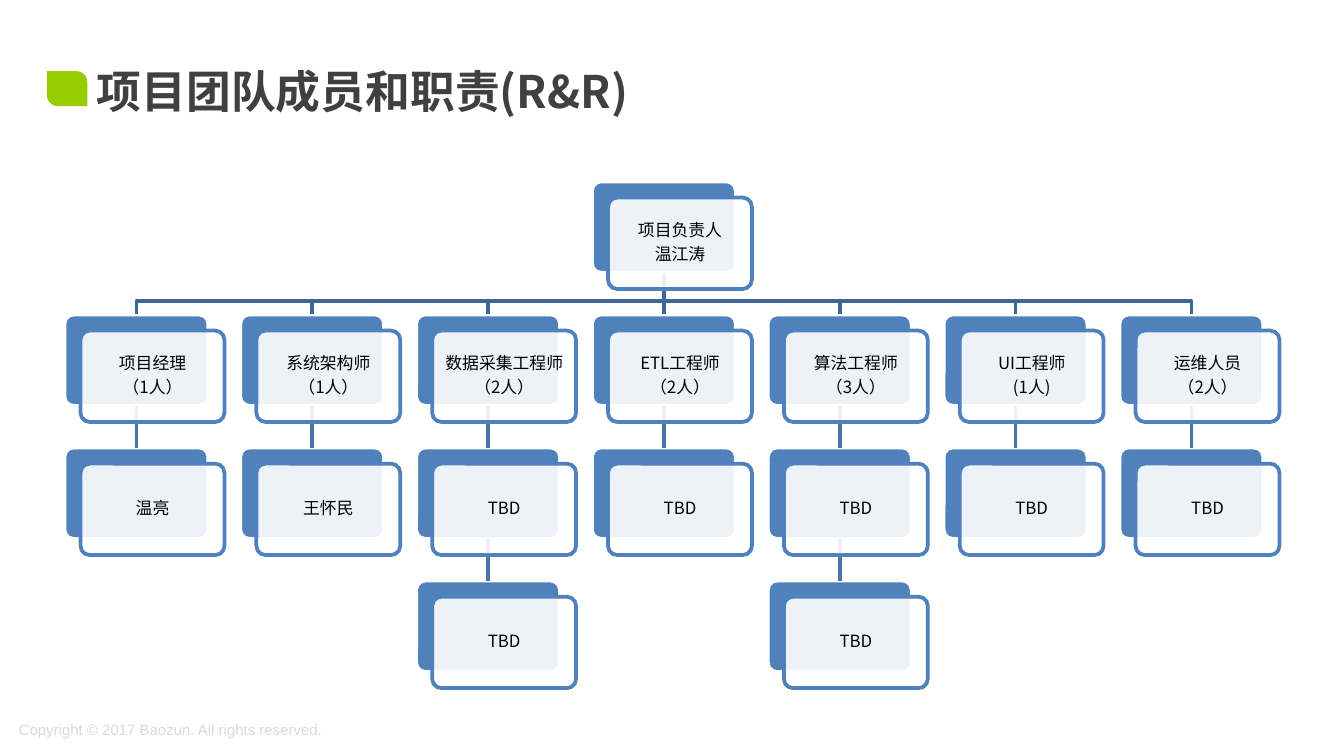
"""Build the project team and responsibilities organisation chart."""
from dataclasses import dataclass

from lxml import etree
from pptx import Presentation
from pptx.dml.color import RGBColor
from pptx.enum import shapes, text
from pptx.oxml import ns
from pptx.util import Inches, Pt


@dataclass(frozen=True)
class Theme:
    accent: str = "99CC00"
    title: str = "404040"
    card: str = "4F81BD"
    paper: str = "FFFFFF"
    ink: str = "000000"
    branch: str = "3F6797"
    stem: str = "4875AC"
    footer: str = "D9D9D9"
    title_size: int = 24
    card_size: int = 9
    footer_size: int = 8
    line_width: int = 2
    font: str = "Noto Sans CJK SC"
    footer_font: str = "Arial"


class OrgChart:
    LEFT, TOP = 0.48, 1.35
    COLUMN_STEP, ROW_STEP = 7.85 / 6, 0.99
    WIDTH, HEIGHT, OFFSET = 1.07, 0.68, 0.12
    INSET = 0.02

    def __init__(self, slide, theme):
        self.slide = slide
        self.theme = theme

    def corner(self, column, row):
        return self.LEFT + column * self.COLUMN_STEP, self.TOP + row * self.ROW_STEP

    def outline(self, line, color):
        line.color.rgb = RGBColor.from_string(color)
        line.width = Pt(self.theme.line_width)

    def block(self, kind, left, top, width, height, fill):
        block = self.slide.shapes.add_shape(
            kind, Inches(left), Inches(top), Inches(width), Inches(height))
        block.shadow.inherit = False
        block.fill.solid()
        block.fill.fore_color.rgb = RGBColor.from_string(fill)
        return block

    def marker(self, left, top, width, height):
        leaf = self.block(shapes.MSO_SHAPE.ROUND_2_DIAG_RECTANGLE,
                          left, top, width, height, self.theme.accent)
        leaf.adjustments[0], leaf.adjustments[1] = 0, 0.31
        leaf.line.fill.background()

    def label(self, lines, left, top, width, height, size, color, font, inset=0,
              bold=False, spacing=1.0, after=0, align=text.PP_ALIGN.LEFT,
              anchor=text.MSO_ANCHOR.TOP):
        frame = self.slide.shapes.add_textbox(
            Inches(left), Inches(top), Inches(width), Inches(height)).text_frame
        frame.word_wrap = True
        frame.vertical_anchor = anchor
        frame.margin_left = frame.margin_right = Inches(inset)
        frame.margin_top = frame.margin_bottom = Inches(inset)
        frame.text = "\n".join(lines)
        for paragraph in frame.paragraphs:
            paragraph.alignment = align
            paragraph.line_spacing = spacing
            paragraph.space_after = Pt(after)
            paragraph.font.name = font
            paragraph.font.size = Pt(size)
            paragraph.font.bold = bold
            paragraph.font.color.rgb = RGBColor.from_string(color)
            latin = paragraph._p.pPr.find(".//" + ns.qn("a:latin"))
            east_asian = etree.Element(ns.qn("a:ea"), typeface=font)
            latin.addnext(east_asian)

    def card_side(self, left, top, fill, line):
        side = self.block(shapes.MSO_SHAPE.ROUNDED_RECTANGLE,
                          left, top, self.WIDTH, self.HEIGHT, fill)
        side.adjustments[0] = 0.1
        self.outline(side.line, line)
        return side

    def card_back(self, column, row):
        return self.card_side(*self.corner(column, row), self.theme.card, self.theme.paper)

    def card_front(self, column, row, lines):
        left, top = (edge + self.OFFSET for edge in self.corner(column, row))
        front = self.card_side(left, top, self.theme.paper, self.theme.card)
        tint = front.fill._xPr.find(".//" + ns.qn("a:srgbClr"))
        etree.SubElement(tint, ns.qn("a:alpha"), val="90000")
        self.label(lines, left + self.INSET, top + self.INSET,
                   self.WIDTH - 2 * self.INSET, self.HEIGHT - 2 * self.INSET,
                   self.theme.card_size, self.theme.ink, self.theme.font,
                   inset=0.04, spacing=0.9, after=3.4,
                   align=text.PP_ALIGN.CENTER, anchor=text.MSO_ANCHOR.MIDDLE)

    def stem(self, upper, lower, color):
        stem = self.slide.shapes.add_connector(shapes.MSO_CONNECTOR.STRAIGHT, 0, 0, 0, 0)
        stem.begin_connect(upper, 2)
        stem.end_connect(lower, 0)
        self.outline(stem.line, color)
        etree.SubElement(stem._element.spPr, ns.qn("a:effectLst"))

    def branch(self, upper, lower):
        start = upper.left + upper.width // 2
        end = lower.left + lower.width // 2
        bend = lower.top - Inches(0.1)
        route = self.slide.shapes.build_freeform(start, upper.top + upper.height)
        route.add_line_segments([(start, bend), (end, bend), (end, lower.top)], close=False)
        branch = route.convert_to_shape()
        branch.shadow.inherit = False
        branch.fill.background()
        self.outline(branch.line, self.theme.branch)

    def draw(self, leader, teams):
        leader_column = len(teams) // 2
        leader_back = self.card_back(leader_column, 0)
        columns = [[self.card_back(column, row) for row in range(1, len(team) + 1)]
                   for column, team in enumerate(teams)]
        for column, backs in enumerate(columns):
            if column == leader_column:
                self.stem(leader_back, backs[0], self.theme.branch)
            else:
                self.branch(leader_back, backs[0])
            for upper, lower in zip(backs, backs[1:]):
                self.stem(upper, lower, self.theme.stem)
        self.card_front(leader_column, 0, leader)
        for column, team in enumerate(teams):
            for row, lines in enumerate(team, start=1):
                self.card_front(column, row, lines)


LEADER = ["项目负责人", "温江涛"]
TEAMS = [
    [["项目经理", "（1人）"], ["温亮"]],
    [["系统架构师", "（1人）"], ["王怀民"]],
    [["数据采集工程师", "（2人）"], ["TBD"], ["TBD"]],
    [["ETL工程师", "（2人）"], ["TBD"]],
    [["算法工程师", "（3人）"], ["TBD"], ["TBD"]],
    [["UI工程师", "(1人)"], ["TBD"]],
    [["运维人员", "（2人）"], ["TBD"]],
]


def main():
    deck = Presentation()
    deck.slide_width = Inches(10)
    deck.slide_height = deck.slide_width * 9 // 16
    theme = Theme()
    chart = OrgChart(deck.slides.add_slide(deck.slide_layouts[6]), theme)
    chart.label(["Copyright © 2017 Baozun. All rights reserved."], 0.14, 5.36, 2.93, 0.14,
                theme.footer_size, theme.footer, theme.footer_font)
    chart.marker(0.35, 0.53, 0.3, 0.26)
    chart.label(["项目团队成员和职责(R&R)"], 0.67, 0.5, 8.65, 0.51,
                theme.title_size, theme.title, theme.font,
                inset=0.05, bold=True, spacing=0.8)
    chart.draw(LEADER, TEAMS)
    deck.save("out.pptx")


if __name__ == "__main__":
    main()
